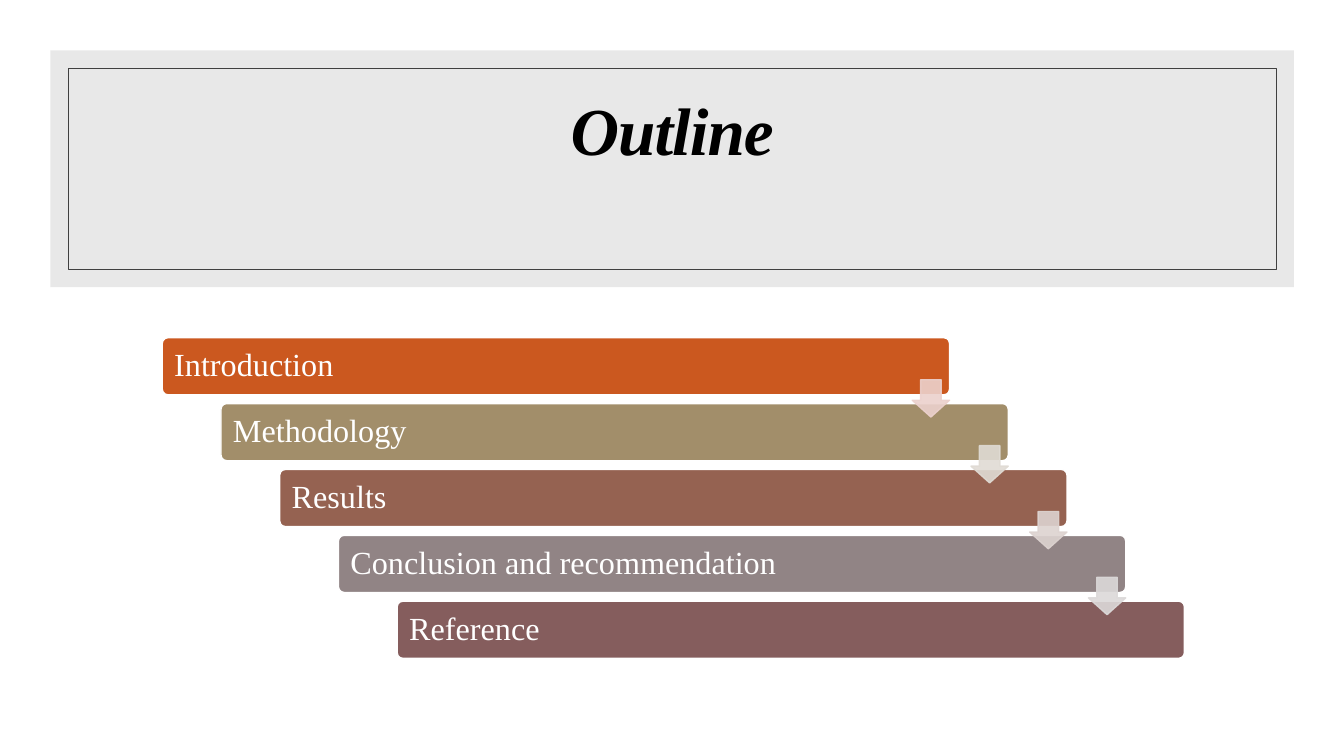
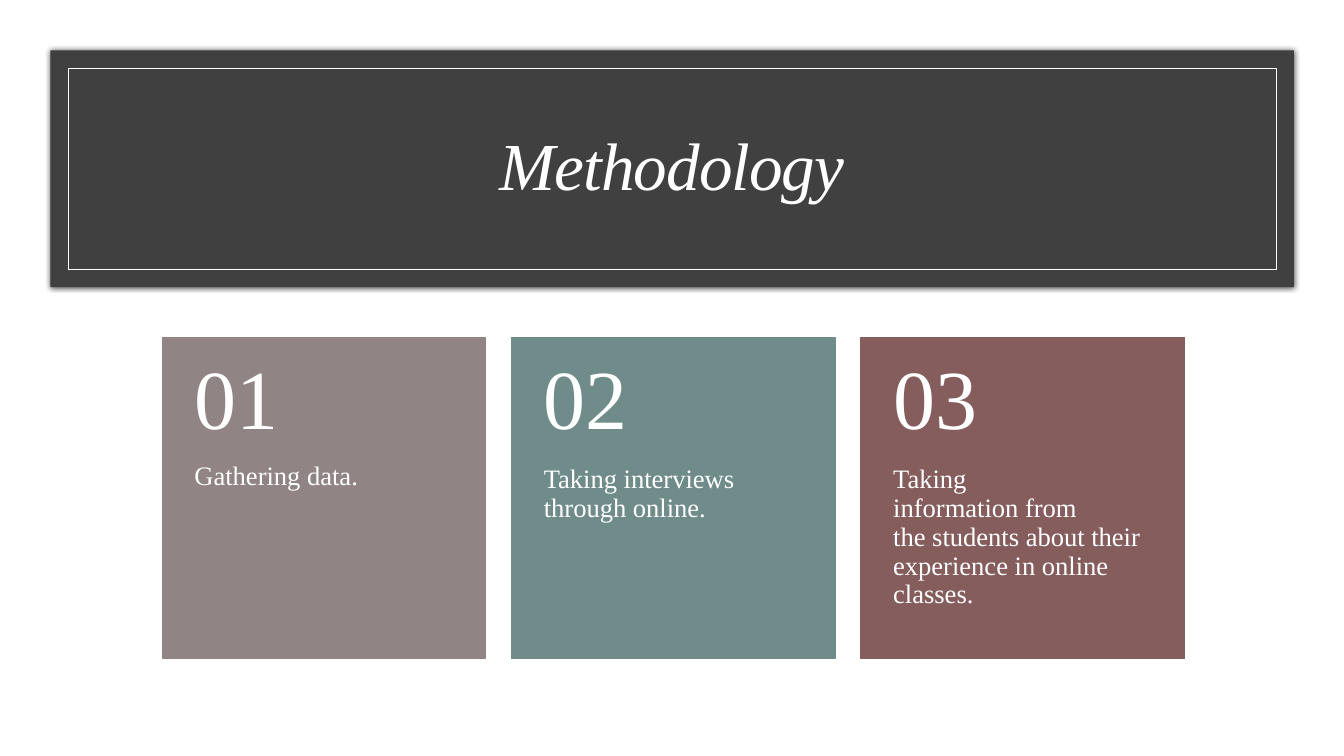
from pptx import Presentation
from pptx.dml.color import RGBColor
from pptx.enum.shapes import MSO_SHAPE
from pptx.enum.text import MSO_ANCHOR, PP_ALIGN
from pptx.oxml import parse_xml
from pptx.oxml.ns import nsdecls, qn
from pptx.util import Cm, Pt

RECT, ROUND, ARROW = MSO_SHAPE.RECTANGLE, MSO_SHAPE.ROUNDED_RECTANGLE, MSO_SHAPE.DOWN_ARROW
TOP, MIDDLE = MSO_ANCHOR.TOP, MSO_ANCHOR.MIDDLE
LEFT, CENTER = PP_ALIGN.LEFT, PP_ALIGN.CENTER

FONT = "Times New Roman"
COLORS = {
    "white": "FFFFFF", "black": "000000", "dark": "404040", "light": "D9D9D9",
    "orange": "CB581F", "sand": "A28E6A", "brown": "956251",
    "taupe": "918485", "wine": "855D5D", "teal": "6F8C8B",
    "pale_orange": "ECD1CD", "pale_sand": "E0DBD4",
    "pale_brown": "DDD3D0", "pale_taupe": "DCD9D9",
}
BAND = (1.27, 1.27, 31.34, 5.97)
CONTENT = (4.09, 8.51, 25.76, 8.08)


def rgb(name):
    """Return the named colour."""
    return RGBColor.from_string(COLORS[name])


def add_shape(s, kind, box, fill=None, line=None, width=1, opacity=100):
    """Add a flat preset shape; box is left, top, width, height in cm."""
    sp = s.shapes.add_shape(kind, *map(Cm, box))
    sp.shadow.inherit = False
    if fill:
        sp.fill.solid()
        sp.fill.fore_color.rgb = rgb(fill)
    else:
        sp.fill.background()
    if line:
        sp.line.color.rgb = rgb(line)
        sp.line.width = Pt(width)
    else:
        sp.line.fill.background()
    if opacity < 100:
        for clr in sp._element.spPr.iter(qn("a:srgbClr")):
            clr.append(parse_xml(f'<a:alpha {nsdecls("a")} val="{opacity * 1000}"/>'))
    return sp


def set_text(sp, text, size, color="white", insets=(0, 0, 0, 0), anchor=MIDDLE, align=LEFT):
    """Write one wrapped paragraph and return it; insets are in cm."""
    tf = sp.text_frame
    tf.word_wrap = True
    tf.vertical_anchor = anchor
    tf.margin_left, tf.margin_top, tf.margin_right, tf.margin_bottom = map(Cm, insets)
    p = tf.paragraphs[0]
    p.text = text
    p.alignment = align
    p.line_spacing = 0.9
    p.font.name, p.font.size = FONT, Pt(size)
    p.font.color.rgb = rgb(color)
    return p


def add_glow(sp):
    """Add a soft dark shadow around a shape."""
    sp._element.spPr.find(qn("a:effectLst")).append(parse_xml(
        f'<a:outerShdw {nsdecls("a")} blurRad="50800" dist="0" dir="0">'
        f'<a:srgbClr val="{COLORS["black"]}"><a:alpha val="66000"/></a:srgbClr></a:outerShdw>'))


def add_title(s, box, text, fill, frame, color, opacity=100, rise=0, bold=False, glow=False):
    """Draw the title band with its inner frame; rise lifts the title in cm."""
    x, y, w, h = box
    band = add_shape(s, RECT, box, fill, opacity=opacity)
    if glow:
        add_glow(band)
    inset = 0.45
    add_shape(s, RECT, (x + inset, y + inset, w - 2 * inset, h - 2 * inset), line=frame, width=0.5)
    side, top = 1.7, 1.07
    title = s.shapes.add_textbox(Cm(x + side), Cm(y + top - rise), Cm(w - 2 * side), Cm(3.81))
    p = set_text(title, text, 48, color, align=CENTER)
    p.font.italic, p.font.bold = True, bold
    p._p.pPr.find(qn("a:defRPr")).set("spc", "-70")


def add_staircase(s, box, steps, arrows):
    """Draw bars stepping down to the right, joined by arrows."""
    x, y, w, h = box
    bar_w, bar_h, arrow = 19.84, 1.44, 0.94
    dx, dy = (w - bar_w) / (len(steps) - 1), (h - bar_h) / (len(steps) - 1)
    for i, (text, fill) in enumerate(steps):
        bar = add_shape(s, ROUND, (x + i * dx, y + i * dy, bar_w, bar_h), fill, "white")
        bar.adjustments[0] = 0.1
        set_text(bar, text, 23, insets=(0.26, 0, 0.26, 0))
    for i, fill in enumerate(arrows):
        place = (x + i * dx + bar_w - arrow, y + i * dy + 1.06, arrow, arrow)
        sp = add_shape(s, ARROW, place, fill, fill, opacity=90)
        sp.adjustments[0], sp.adjustments[1] = 0.55, 0.45


def add_cards(s, box, cards):
    """Draw a row of numbered cards."""
    x, y, w, h = box
    card_w, pad = 8.15, 0.81
    pitch = (w - card_w) / (len(cards) - 1)
    head = 0.4 * h
    for i, (text, fill) in enumerate(cards):
        left = x + i * pitch
        add_shape(s, RECT, (left, y, card_w, h), fill, fill)
        body = s.shapes.add_textbox(Cm(left), Cm(y + head), Cm(card_w), Cm(h - head))
        set_text(body, text, 19, insets=(pad, 0, pad, 0.91), anchor=TOP)
        number = s.shapes.add_textbox(Cm(left), Cm(y), Cm(card_w), Cm(head))
        set_text(number, f"{i + 1:02}", 60, insets=(pad, 0.46, pad, 0.46))


def outline_slide(prs):
    """Build the outline slide."""
    s = prs.slides.add_slide(prs.slide_layouts[6])
    add_title(s, BAND, "Outline", "light", "dark", "black", opacity=60, rise=0.88, bold=True)
    add_staircase(s, CONTENT, [
        ("Introduction", "orange"),
        ("Methodology", "sand"),
        ("Results", "brown"),
        ("Conclusion and recommendation", "taupe"),
        ("Reference", "wine"),
    ], ["pale_orange", "pale_sand", "pale_brown", "pale_taupe"])


def methodology_slide(prs):
    """Build the methodology slide."""
    s = prs.slides.add_slide(prs.slide_layouts[6])
    add_title(s, BAND, "Methodology", "dark", "white", "white", glow=True)
    add_cards(s, CONTENT, [
        ("Gathering data.", "taupe"),
        ("Taking\u00a0interviews through\u00a0online.", "teal"),
        ("Taking information\u00a0from the\u00a0students\u00a0about\u00a0their "
         "experience\u00a0in online classes.", "wine"),
    ])


def main():
    """Build and save the presentation."""
    prs = Presentation()
    prs.slide_width, prs.slide_height = Cm(33.87), Cm(19.05)
    outline_slide(prs)
    methodology_slide(prs)
    prs.save("out.pptx")


main()
